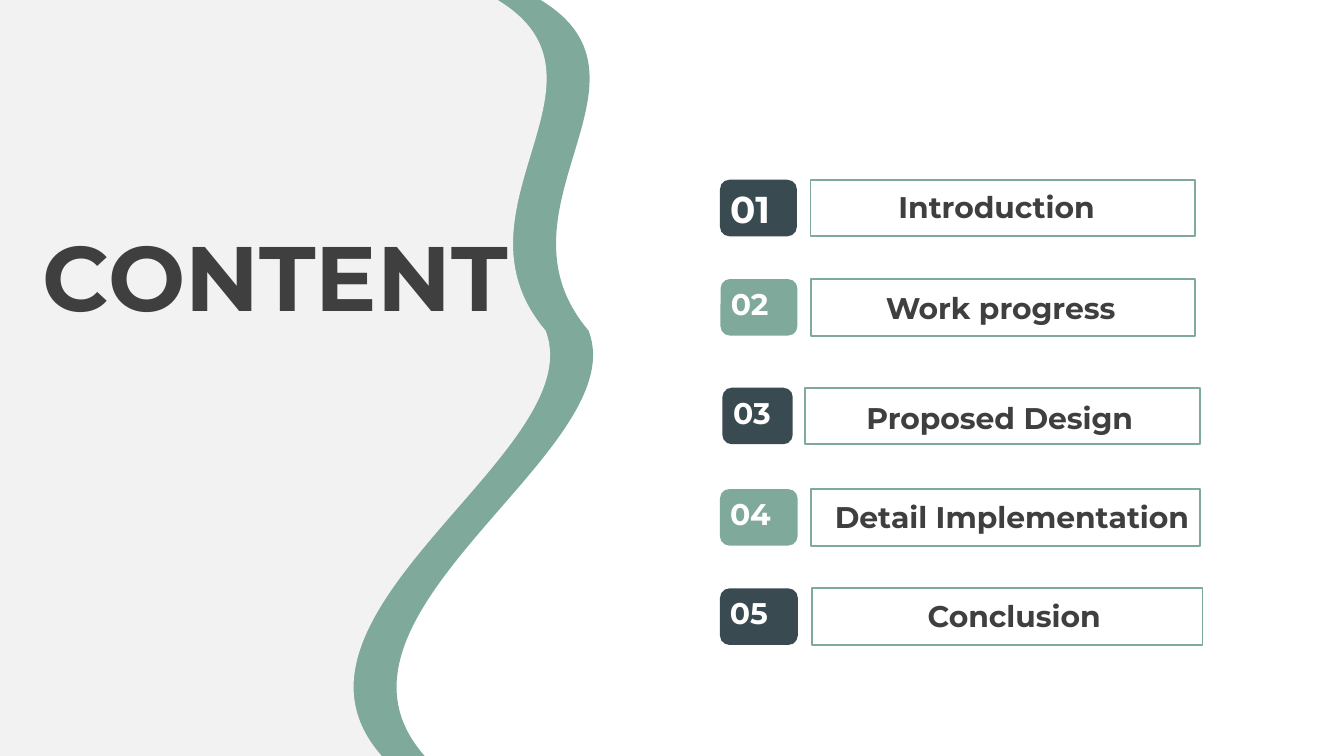
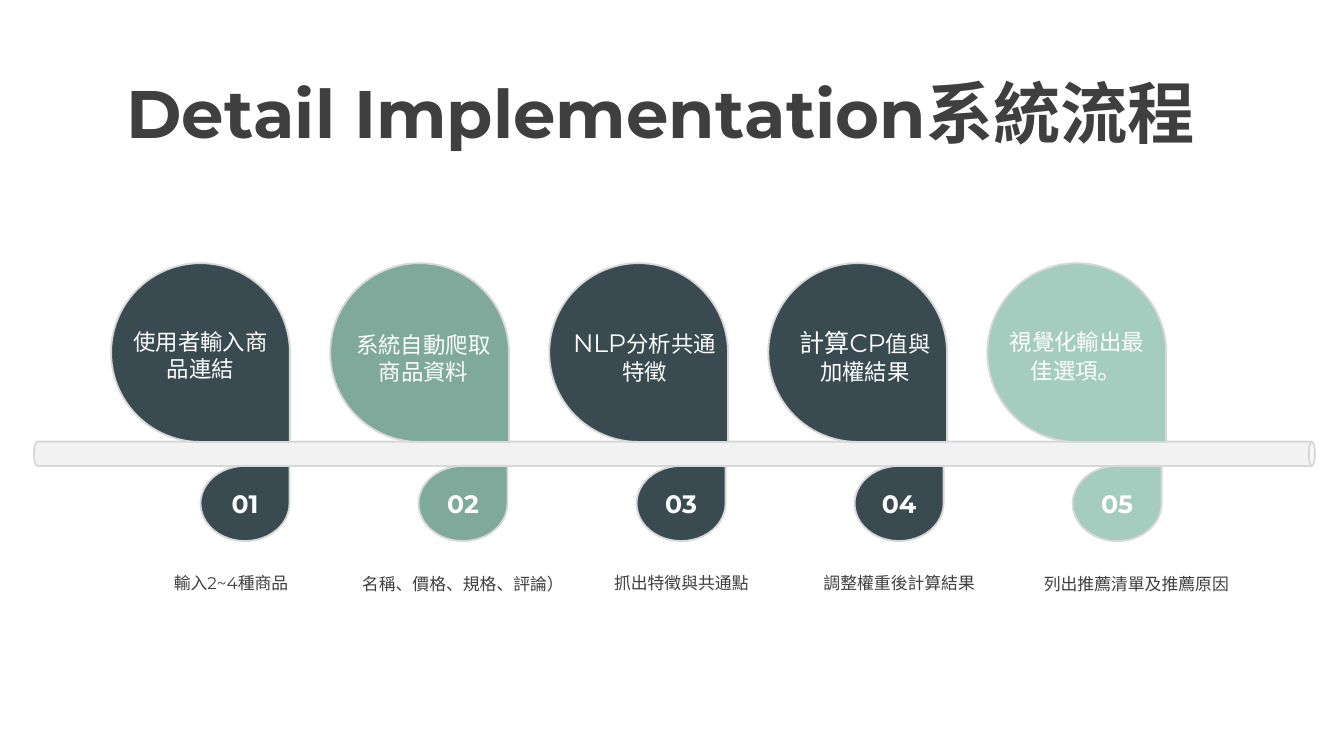
"""Build an agenda slide and a five-step process slide."""
import dataclasses

import lxml.etree
import pptx
import pptx.dml.color
import pptx.enum.shapes
import pptx.enum.text
import pptx.oxml.ns
import pptx.util

Pt = pptx.util.Pt
qn = pptx.oxml.ns.qn
MSO = pptx.enum.shapes.MSO_SHAPE
ALIGN = pptx.enum.text.PP_ALIGN
ANCHOR = pptx.enum.text.MSO_ANCHOR
FIT = pptx.enum.text.MSO_AUTO_SIZE.SHAPE_TO_FIT_TEXT


@dataclasses.dataclass(frozen=True)
class Theme:
    font: str = "Montserrat"
    ink: str = "3F3F3F"
    white: str = "FFFFFF"
    slate: str = "394B51"
    sage: str = "7FA99B"
    mint: str = "A4CCBF"
    pale: str = "F2F2F2"
    edge: str = "D8D8D8"
    hero: float = 49
    title: float = 36
    first: float = 20
    item: float = 16
    step: float = 13.5
    body: float = 12
    note: float = 9


T = Theme()
AGENDA_TITLE = "CONTENT"
AGENDA = [
    dict(text="Introduction", top=96.3, frame=(434.2, 206), label=(471.9, 135.4, 0),
         badge=(385.7, 41.2), number=(384, 51), size=T.first, fill=T.slate),
    dict(text="Work progress", top=149.5, frame=(434.4, 206), label=(465.1, 147.6, 0.7),
         badge=(386, 41.2), number=(384.4, 54), size=T.item, fill=T.sage),
    dict(text="Proposed Design", top=207.7, frame=(431.3, 211.5), label=(454.7, 170.6, 1.5),
         badge=(387, 37.7), number=(385.7, 49), size=T.item, fill=T.slate),
    dict(text="Detail Implementation", top=262, frame=(434.5, 208.3), label=(437.8, 220.3, 0),
         badge=(385.7, 41.6), number=(384, 54), size=T.item, fill=T.sage),
    dict(text="Conclusion", top=315.2, frame=(435, 209.2), label=(487.5, 121, 0),
         badge=(385.7, 41.7), number=(384, 54.7), size=T.item, fill=T.slate),
]
WAVE_START = (262.8, -2.2)
WAVE = [((340.6, 40.3), (236.2, 110.9), (292.3, 177.1)),
        ((317.5, 241.4), (137.5, 329), (204.5, 405))]
WAVE_LEFT, WAVE_WIDTH, WAVE_SHIFT = -4.3, 299.5, 23

FLOW_TITLE = "Detail Implementation系統流程"
FLOW = [
    dict(runs=[("使用者輸入商品連結", T.body)], body=(62.8, 172.1, 89.3),
         note="輸入2~4種商品", caption=(73.4, 303.1, 100.8), fill=T.slate),
    dict(runs=[("系統自動爬取商品資料", T.body)], body=(182.2, 173.8, 89.3),
         note="名稱、價格、規格、評論）", caption=(185.3, 303.8, 125.3), fill=T.sage),
    dict(runs=[("NLP", T.step), ("分析共通特徵", T.body)], body=(298.1, 171.9, 94.3),
         note="抓出特徵與共通點", caption=(314.6, 303.1, 100.8), fill=T.slate),
    dict(runs=[("計算CP", T.step), ("值與加權結果", T.body)], body=(418.8, 171.9, 89.3),
         note="調整權重後計算結果", caption=(431.3, 303.1, 100.8), fill=T.slate),
    dict(runs=[("視覺化輸出最佳選項", T.body), ("。", T.step)], body=(529, 172.1, 95.8),
         note="列出推薦清單及推薦原因", caption=(548.2, 303.8, 121), fill=T.mint),
]
DROP = dict(left=59.5, top=141, size=95.8, pitch=117.36)
TAG = dict(left=107.4, top=249.6, width=47.7, height=40.3, pitch=116.8)
PIPE = dict(left=18.2, top=236.6, length=686.2, width=13)


def rgb(color):
    return pptx.dml.color.RGBColor.from_string(color)


def paint(sp, fill=None, line=None):
    sp.shadow.inherit = False
    if fill:
        sp.fill.solid()
        sp.fill.fore_color.rgb = rgb(fill)
    else:
        sp.fill.background()
    if line:
        sp.line.color.rgb = rgb(line)
        sp.line.width = Pt(1)
    else:
        sp.line.fill.background()
    return sp


def shape(s, kind, box, fill=None, line=None, adj=None, rotation=0):
    sp = paint(s.shapes.add_shape(kind, *map(Pt, box)), fill, line)
    if adj is not None:
        sp.adjustments[0] = adj
    sp.rotation = rotation
    return sp


def write(sp, text, size=T.item, color=T.ink, bold=False, align=ALIGN.LEFT,
          anchor=ANCHOR.TOP, inset=(7.2, 3.6), spacing=None):
    tf = sp.text_frame
    tf.word_wrap = True
    tf.vertical_anchor = anchor
    tf.margin_left = tf.margin_right = Pt(inset[0])
    tf.margin_top = tf.margin_bottom = Pt(inset[1])
    p = tf.paragraphs[0]
    p.alignment = align
    if spacing:
        p.line_spacing = spacing
    for words, points in [(text, size)] if isinstance(text, str) else text:
        r = p.add_run()
        r.text = words
        r.font.name, r.font.size, r.font.bold = T.font, Pt(points), bold
        r.font.color.rgb = rgb(color)


def textbox(s, box, text, **fmt):
    sp = s.shapes.add_textbox(*map(Pt, box))
    write(sp, text, **fmt)
    sp.text_frame.auto_size = FIT


def wave(s, shift, fill):
    top, ends = WAVE_START[1], [curve[-1] for curve in WAVE]
    corners = [(WAVE_LEFT, top), WAVE_START, *ends, (WAVE_LEFT, ends[-1][1])]
    points = [(Pt(x + shift), Pt(y)) for x, y in corners]
    fb = s.shapes.build_freeform(*points[0])
    fb.add_line_segments(points[1:], close=True)
    sp = paint(fb.convert_to_shape(), fill)
    outline = next(sp._element.iter(qn("a:path")))
    sp.width = Pt(WAVE_WIDTH)
    outline.set("w", str(Pt(WAVE_WIDTH)))
    for segment, curve in zip(outline.findall(qn("a:lnTo"))[1:], WAVE):
        bend = lxml.etree.Element(qn("a:cubicBezTo"))
        for x, y in curve:
            lxml.etree.SubElement(bend, qn("a:pt"), x=str(Pt(x - WAVE_LEFT)),
                                  y=str(Pt(y - top)))
        outline.replace(segment, bend)


def agenda_slide(s):
    waves = s.shapes.add_group_shape()
    wave(waves, WAVE_SHIFT, T.sage)
    wave(waves, 0, T.pale)
    textbox(s, (15.8, 130.3, 288.7, 49), AGENDA_TITLE, size=T.hero, bold=True, spacing=0.7)
    for n, row in enumerate(AGENDA, 1):
        g = s.shapes.add_group_shape()
        top, height = row["top"], 30.3
        (frame_x, frame_w), (badge_x, badge_w) = row["frame"], row["badge"]
        (label_x, label_w, drop), (num_x, num_w) = row["label"], row["number"]
        shape(g, MSO.ROUNDED_RECTANGLE, (frame_x, top, frame_w, height), line=T.sage, adj=0)
        textbox(g, (label_x, top + drop, label_w, 28.8), row["text"], bold=True,
                inset=(9.4, 5))
        shape(g, MSO.ROUNDED_RECTANGLE, (badge_x, top, badge_w, height), row["fill"],
              adj=0.167)
        textbox(g, (num_x, top, num_w, 26.6), f"{n:02}", size=row["size"],
                color=T.white, bold=True)


def flow_slide(s):
    textbox(s, (23.8, 34.6, 660.2, 51), FLOW_TITLE, size=T.title, bold=True,
            align=ALIGN.CENTER)
    length, width = PIPE["length"], PIPE["width"]
    shape(s, MSO.CAN, (PIPE["left"] + (length - width) / 2,
                       PIPE["top"] - (length - width) / 2, width, length),
          T.pale, T.edge, adj=0.25, rotation=90)
    for i, step in enumerate(FLOW):
        shape(s, MSO.TEAR, (DROP["left"] + i * DROP["pitch"], DROP["top"],
                            DROP["size"], DROP["size"]),
              step["fill"], T.edge, adj=1, rotation=90)
    for i, step in enumerate(FLOW):
        tag = shape(s, MSO.TEAR, (TAG["left"] + i * TAG["pitch"], TAG["top"],
                                  TAG["width"], TAG["height"]),
                    step["fill"], T.edge, adj=1)
        write(tag, f"{i + 1:02}", size=T.step, color=T.white, bold=True,
              align=ALIGN.CENTER, anchor=ANCHOR.MIDDLE)
        textbox(s, (*step["caption"], 18), step["note"], size=T.note, align=ALIGN.CENTER)
    for step in FLOW:
        textbox(s, (*step["body"], 37), step["runs"], color=T.white, align=ALIGN.CENTER)


def main():
    prs = pptx.Presentation()
    prs.slide_width, prs.slide_height = Pt(720), Pt(405)
    for build in (agenda_slide, flow_slide):
        build(prs.slides.add_slide(prs.slide_layouts[6]))
    prs.save("out.pptx")


if __name__ == "__main__":
    main()
